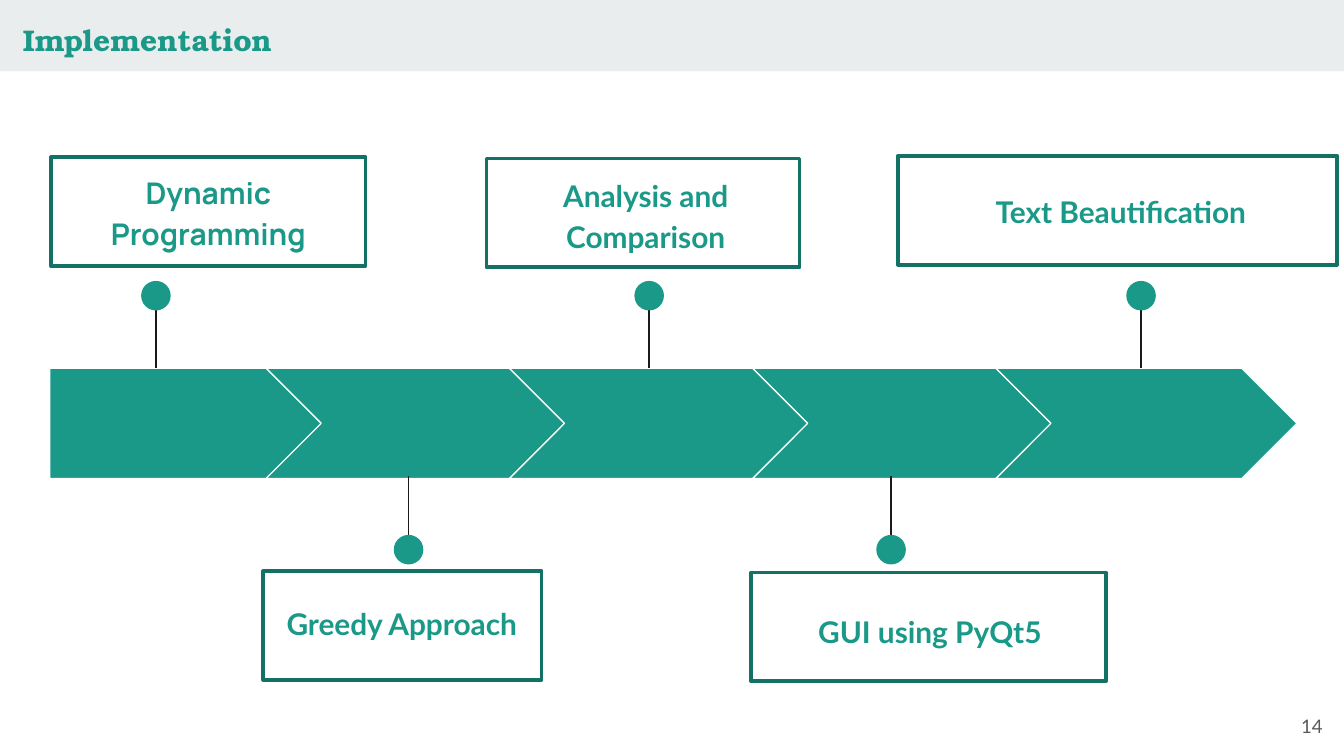
import lxml.etree
import pptx
import pptx.dml.color
import pptx.enum.shapes
import pptx.enum.text
import pptx.oxml.ns
import pptx.util

Inches = pptx.util.Inches
SHAPE = pptx.enum.shapes.MSO_SHAPE
ALIGN = pptx.enum.text.PP_ALIGN
ANCHOR = pptx.enum.text.MSO_ANCHOR
AUTO_SIZE = pptx.enum.text.MSO_AUTO_SIZE

TEAL = "1A9988"
DARK_TEAL = "137165"
WHITE = "FFFFFF"
INK = "1A1A1A"
GREY = "595959"
BAND = "E9EDEE"

ARROW_TOP, ARROW_HEIGHT = 2.74, 0.82
CHEVRON_LEFT, CHEVRON_STEP = 1.98, 1.81
DOT = 0.22

# label, font, text box, frame, pin centre, whether the pin stands above the arrow
STEPS = [
    ("Dynamic Programming", "Manrope", (0.24, 1.16, 2.62, 0.76), (0.38, 1.17, 2.34, 0.81), 1.16, True),
    ("Greedy Approach", "Lato", (1.87, 4.37, 2.24, 0.82), (1.96, 4.25, 2.07, 0.81), 3.04, False),
    ("Analysis and Comparison", "Lato", (3.58, 1.18, 2.45, 0.99), (3.62, 1.18, 2.33, 0.81), 4.83, True),
    ("GUI using PyQt5", "Lato", (5.6, 4.43, 2.64, 0.87), (5.59, 4.26, 2.64, 0.81), 6.63, False),
    ("Text Beautification", "Lato", (6.59, 1.3, 3.5, 0.82), (6.68, 1.16, 3.27, 0.81), 8.49, True),
]


def color(value):
    return pptx.dml.color.RGBColor.from_string(value)


def add_shape(slide, kind, box, fill=None, line=None, line_width=0.75):
    shape = slide.shapes.add_shape(kind, *map(Inches, box))
    shape.shadow.inherit = False
    if fill:
        shape.fill.solid()
        shape.fill.fore_color.rgb = color(fill)
    else:
        shape.fill.background()
    if line:
        shape.line.color.rgb = color(line)
        shape.line.width = pptx.util.Pt(line_width)
    else:
        shape.line.fill.background()
    return shape


def write_text(paragraph, text, font, size, text_color, bold=False, align=ALIGN.LEFT):
    paragraph.alignment = align
    run = paragraph.add_run()
    run.text = text
    run.font.name = font
    run.font.size = pptx.util.Pt(size)
    run.font.bold = bold
    run.font.color.rgb = color(text_color)


def add_text(slide, text, box, anchor=ANCHOR.TOP, line_spacing=1.0, **text_format):
    frame = slide.shapes.add_textbox(*map(Inches, box)).text_frame
    frame.word_wrap = True
    frame.vertical_anchor = anchor
    frame.margin_left = frame.margin_right = Inches(0.1)
    frame.margin_top = frame.margin_bottom = Inches(0.1)
    paragraph = frame.paragraphs[0]
    paragraph.line_spacing = line_spacing
    write_text(paragraph, text, **text_format)


def add_header(slide):
    title = slide.shapes.title
    title.left, title.top, title.width, title.height = map(Inches, (0.07, 0.11, 2.16, 0.37))
    frame = title.text_frame
    frame.word_wrap = False
    frame.auto_size = AUTO_SIZE.SHAPE_TO_FIT_TEXT
    frame.vertical_anchor = ANCHOR.TOP
    write_text(frame.paragraphs[0], "Implementation", font="TeX Gyre Bonum",
               size=16, text_color=TEAL, bold=True)
    band = add_shape(slide, SHAPE.RECTANGLE, (0, 0, 10, 0.53), fill=BAND)
    title.element.addprevious(band.element)


def add_arrow(slide, index):
    """Draw one section of the process arrow; the first has a flat left end."""
    if index == 0:
        kind, left, width = SHAPE.PENTAGON, 0.37, 2.05
    else:
        kind, left, width = SHAPE.CHEVRON, CHEVRON_LEFT + (index - 1) * CHEVRON_STEP, 2.24
    arrow = add_shape(slide, kind, (left, ARROW_TOP, width, ARROW_HEIGHT), fill=TEAL, line=WHITE)
    arrow.adjustments[0] = 0.5


def add_pin(slide, center, above):
    """Draw a stem that ends in a dot, above or below the arrow."""
    start, end, dot_top = (2.13, 2.74, 2.09) if above else (4.15, 3.54, 3.98)
    stem = slide.shapes.add_connector(
        pptx.enum.shapes.MSO_CONNECTOR.STRAIGHT,
        Inches(center), Inches(start), Inches(center), Inches(end))
    stem.line.color.rgb = color(INK)
    stem.line.width = pptx.util.Pt(0.75)
    lxml.etree.SubElement(stem.element.spPr, pptx.oxml.ns.qn("a:effectLst"))
    add_shape(slide, SHAPE.OVAL, (center - DOT / 2, dot_top, DOT, DOT), fill=TEAL)


def main():
    presentation = pptx.Presentation()
    presentation.slide_width = Inches(10)
    presentation.slide_height = Inches(10 * 9 / 16)
    slide = presentation.slides.add_slide(presentation.slide_layouts[5])

    add_header(slide)
    for index, (label, font, text_box, frame_box, center, above) in enumerate(STEPS):
        add_arrow(slide, index)
        add_pin(slide, center, above)
        add_text(slide, label, text_box, line_spacing=1.15, font=font, size=16,
                 text_color=TEAL, bold=True, align=ALIGN.CENTER)
        add_shape(slide, SHAPE.RECTANGLE, frame_box, line=DARK_TEAL, line_width=2)
    add_text(slide, "14", (9.34, 5.19, 0.6, 0.43), anchor=ANCHOR.MIDDLE,
             font="Lato", size=10, text_color=GREY, align=ALIGN.RIGHT)

    presentation.save("out.pptx")


if __name__ == "__main__":
    main()
